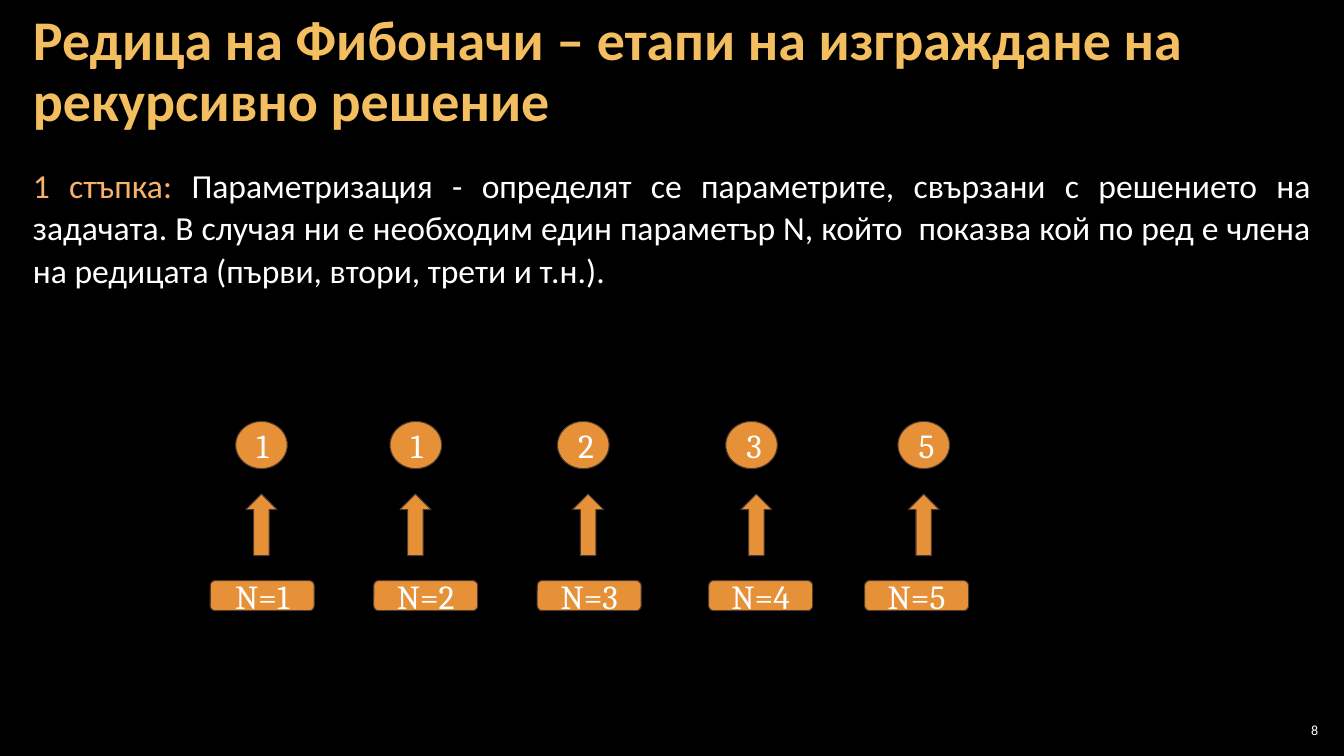
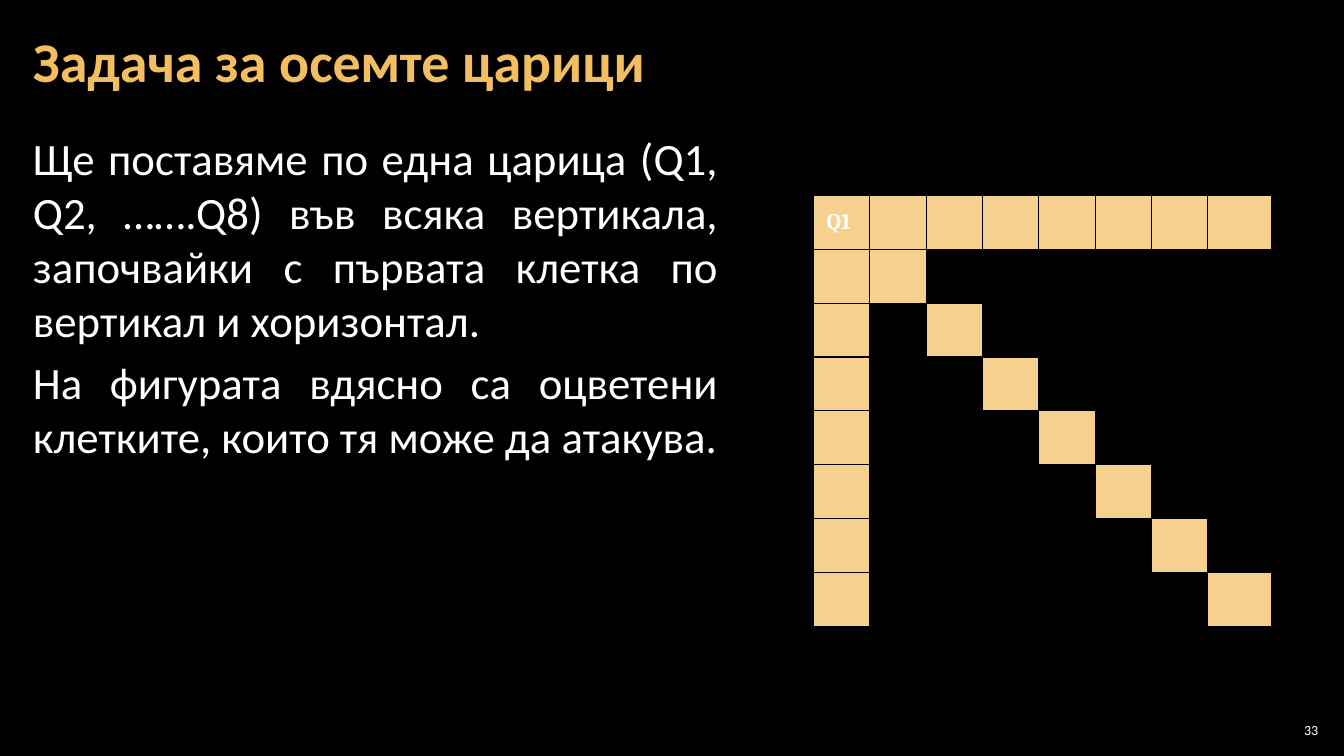
from dataclasses import dataclass

from lxml.etree import SubElement
from pptx import Presentation
from pptx.dml.color import RGBColor
from pptx.enum.shapes import MSO_SHAPE
from pptx.enum.text import MSO_ANCHOR, PP_ALIGN
from pptx.oxml.ns import qn
from pptx.util import Cm, Pt


@dataclass(frozen=True)
class Theme:
    background: str = "000000"
    text: str = "FFFFFF"
    title: str = "F3BE60"
    step: str = "F6B26B"
    node: str = "E69138"
    outline: str = "4E3B30"
    attacked: str = "F6D18E"
    body_font: str = "Calibri"
    figure_font: str = "Cambria"
    title_size: int = 40
    large_size: int = 32
    text_size: int = 24
    queen_size: int = 16
    number_size: int = 10


THEME = Theme()
WIDTH, HEIGHT = 33.87, 19.05
MARGIN = 0.53
CONTENT_WIDTH = WIDTH - 2 * MARGIN
TEXT_INSETS = (0.3, 0.1)
FIGURE_INSETS = (0.33, 0.33)


def rgb(value):
    return RGBColor.from_string(value)


def lengths(box):
    return [Cm(value) for value in box]


def write(frame, paragraphs, *, size, font=THEME.body_font, color=THEME.text,
          bold=False, align=PP_ALIGN.LEFT, anchor=MSO_ANCHOR.TOP,
          insets=TEXT_INSETS, line_spacing=1.0, space_after=0):
    frame.word_wrap = True
    frame.vertical_anchor = anchor
    frame.margin_left = frame.margin_right = Cm(insets[0])
    frame.margin_top = frame.margin_bottom = Cm(insets[1])
    for index, runs in enumerate(paragraphs):
        paragraph = frame.add_paragraph() if index else frame.paragraphs[0]
        paragraph.alignment = align
        paragraph.line_spacing = line_spacing
        paragraph.space_before = Pt(0)
        paragraph.space_after = Pt(space_after)
        for content, run_color in runs:
            run = paragraph.add_run()
            run.text = content
            run.font.name = font
            run.font.size = Pt(size)
            run.font.bold = bold
            run.font.color.rgb = rgb(run_color or color)


def plain(*contents):
    return [[(content, None)] for content in contents]


def add_text(slide, box, paragraphs, **style):
    write(slide.shapes.add_textbox(*lengths(box)).text_frame, paragraphs, **style)


def add_node(slide, preset, box, label=None, align=PP_ALIGN.LEFT):
    node = slide.shapes.add_shape(preset, *lengths(box))
    node.shadow.inherit = False
    node.fill.solid()
    node.fill.fore_color.rgb = rgb(THEME.node)
    node.line.color.rgb = rgb(THEME.outline)
    node.line.width = Pt(0.75)
    if label:
        write(node.text_frame, plain(label), size=THEME.text_size,
              font=THEME.figure_font, align=align, anchor=MSO_ANCHOR.MIDDLE,
              insets=FIGURE_INSETS)


def add_frame(prs, title, number, title_top):
    slide = prs.slides.add_slide(prs.slide_layouts[6])
    add_text(slide, (MARGIN, title_top, CONTENT_WIDTH, 3.07), plain(title),
             size=THEME.title_size, color=THEME.title, bold=True,
             anchor=MSO_ANCHOR.MIDDLE, line_spacing=0.9)
    add_text(slide, (32.13, 18.14, 1.19, 0.53), plain(number),
             size=THEME.number_size, align=PP_ALIGN.RIGHT,
             anchor=MSO_ANCHOR.MIDDLE, insets=(0.1, 0.1))
    return slide


def add_sequence(slide, left, top):
    members = ("1", "1", "2", "3", "5")
    member_offsets = (0.64, 4.53, 8.75, 12.99, 17.33)
    arrow_offsets = (0.9, 4.78, 9.13, 13.37, 17.59)
    index_offsets = (0, 4.12, 8.24, 12.56, 16.49)
    for member, offset in zip(members, member_offsets):
        add_node(slide, MSO_SHAPE.OVAL, (left + offset, top, 1.3, 1.19), member)
    for offset in arrow_offsets:
        add_node(slide, MSO_SHAPE.UP_ARROW, (left + offset, top + 1.83, 0.78, 1.55))
    for position, offset in enumerate(index_offsets, 1):
        add_node(slide, MSO_SHAPE.ROUNDED_RECTANGLE,
                 (left + offset, top + 4.01, 2.62, 0.76),
                 f"N={position}", PP_ALIGN.CENTER)


def add_borders(cell):
    properties = cell._tc.get_or_add_tcPr()
    for side in ("a:lnL", "a:lnR", "a:lnT", "a:lnB"):
        line = SubElement(properties, qn(side), w=str(Pt(1)))
        fill = SubElement(line, qn("a:solidFill"))
        SubElement(fill, qn("a:srgbClr"), val=THEME.background)


def add_board(slide, left, top, count=8, square=1.42, last_width=1.6, height=10.85):
    width = square * (count - 1) + last_width
    board = slide.shapes.add_table(
        count, count, *lengths((left, top, width, height))).table
    board.first_row = board.horz_banding = False
    for index in range(count):
        board.columns[index].width = Cm(square if index < count - 1 else last_width)
        board.rows[index].height = Cm(height / count)
    for row in range(count):
        for column in range(count):
            cell = board.cell(row, column)
            cell.margin_left = cell.margin_right = Cm(FIGURE_INSETS[0])
            cell.margin_top = cell.margin_bottom = Cm(0.1)
            add_borders(cell)
            if row == 0 or column == 0 or row == column:
                cell.fill.solid()
                cell.fill.fore_color.rgb = rgb(THEME.attacked)
            else:
                cell.fill.background()
    queen = board.cell(0, 0)
    write(queen.text_frame, plain("Q1"), size=THEME.queen_size,
          font=THEME.figure_font, bold=True, insets=(0.33, 0.1))
    queen.vertical_anchor = MSO_ANCHOR.MIDDLE


def build_fibonacci(prs):
    slide = add_frame(
        prs, "Редица на Фибоначи – етапи на изграждане на рекурсивно решение", "8", 0.3)
    step = [
        ("1 стъпка:", THEME.step),
        (" Параметризация - определят се параметрите, свързани с решението на "
         "задачата. В случая ни е необходим един параметър N, който  показва кой "
         "по ред е члена на редицата (първи, втори, трети и т.н.).", None),
    ]
    add_text(slide, (MARGIN, 4.01, CONTENT_WIDTH, 14.66), [step],
             size=THEME.text_size, align=PP_ALIGN.JUSTIFY, line_spacing=1.05,
             space_after=6)
    add_sequence(slide, 5.3, 10.62)


def build_queens(prs):
    slide = add_frame(prs, "Задача за осемте царици", "33", 0.1)
    explanation = plain(
        "Ще поставяме по една царица (Q1, Q2, …….Q8) във всяка вертикала, "
        "започвайки с първата клетка по вертикал и хоризонтал.",
        "На фигурата вдясно са оцветени клетките, които тя може да атакува.")
    add_text(slide, (MARGIN, 3.2, 17.88, 15.47), explanation,
             size=THEME.large_size, align=PP_ALIGN.JUSTIFY, space_after=6)
    add_board(slide, 20.5, 4.93)


def main():
    prs = Presentation()
    prs.slide_width, prs.slide_height = Cm(WIDTH), Cm(HEIGHT)
    backdrop = prs.slide_master.background.fill
    backdrop.solid()
    backdrop.fore_color.rgb = rgb(THEME.background)
    build_fibonacci(prs)
    build_queens(prs)
    prs.save("out.pptx")


if __name__ == "__main__":
    main()
